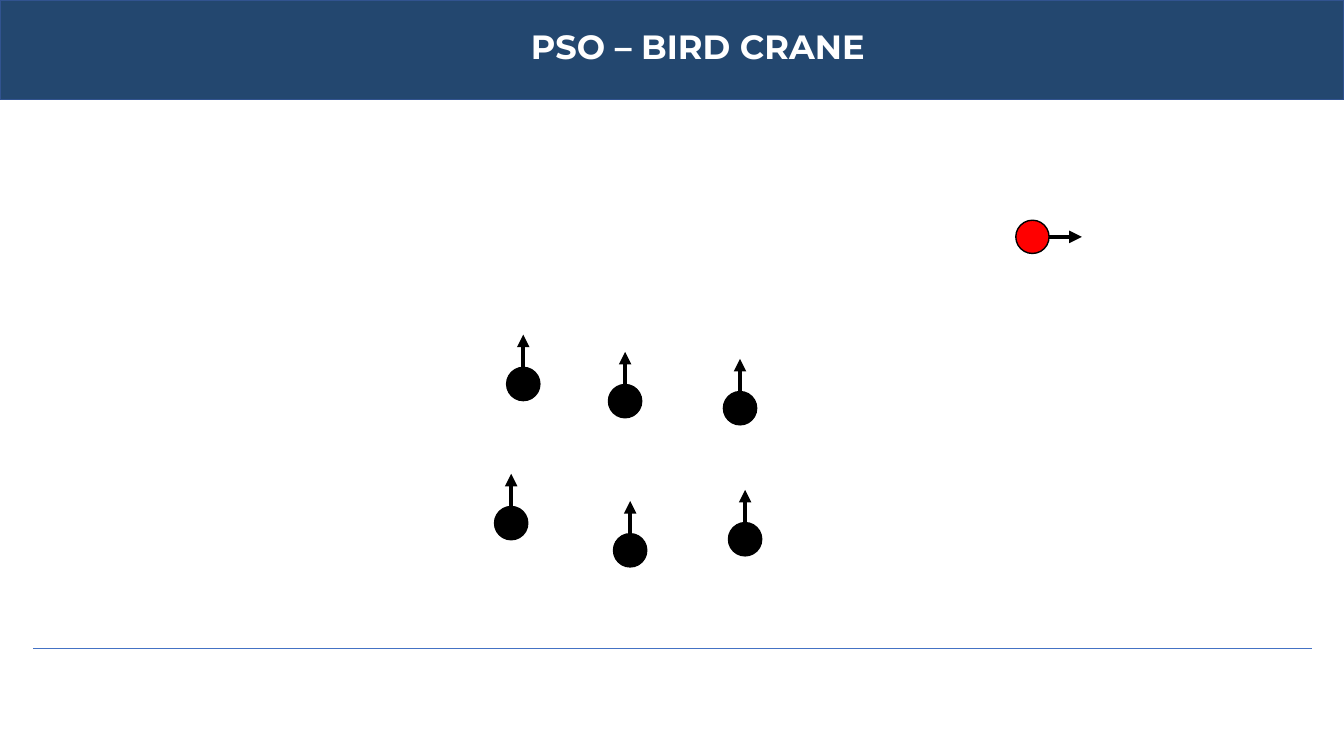
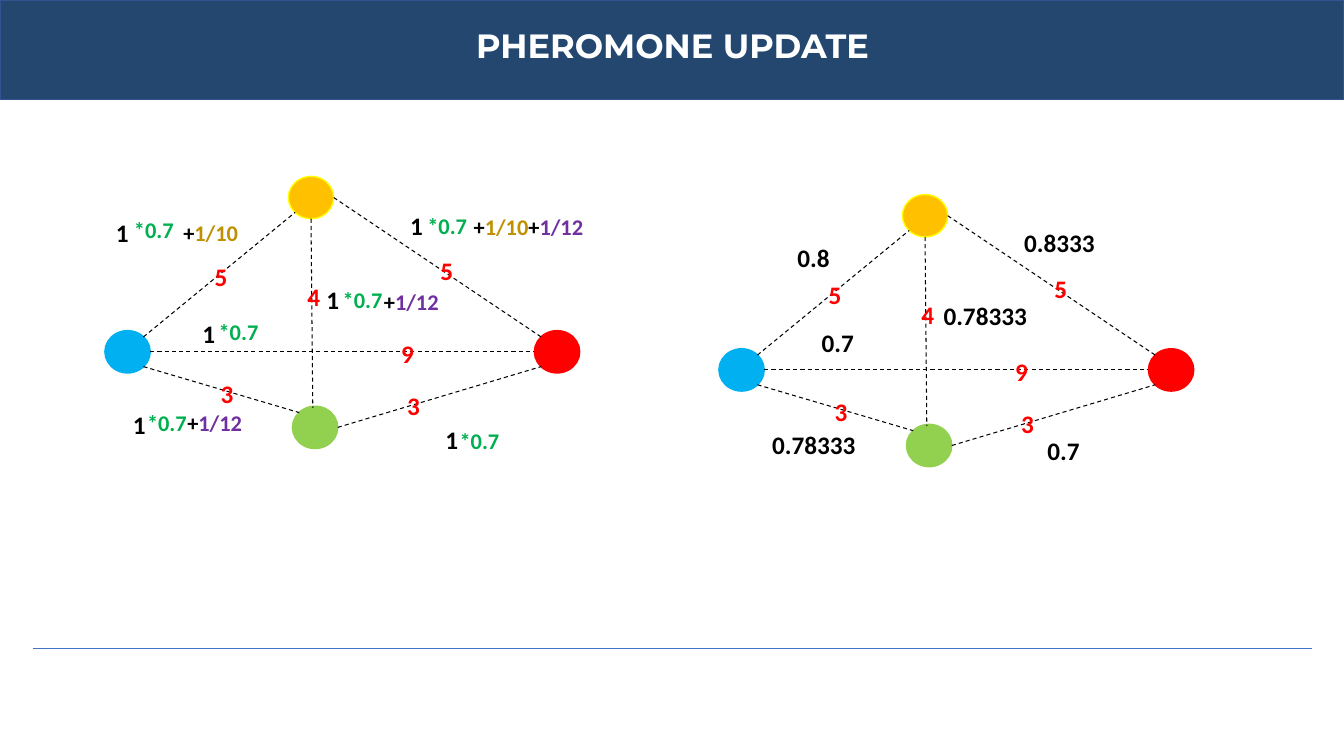
"""Build two slides on swarm methods: a bird flock and a pheromone update."""
from dataclasses import dataclass
from enum import Enum
from typing import NamedTuple

import lxml.etree
import pptx
import pptx.dml.color
import pptx.enum.dml
import pptx.enum.shapes
import pptx.enum.text
import pptx.oxml.ns
import pptx.util

Inches = pptx.util.Inches
MSO_SHAPE = pptx.enum.shapes.MSO_SHAPE


@dataclass(frozen=True)
class Theme:
    """Colours, fonts and type sizes."""
    band: str = "23476F"
    band_edge: str = "31538F"
    rule: str = "4472C4"
    white: str = "FFFFFF"
    black: str = "000000"
    red: str = "FF0000"
    blue: str = "00B0F0"
    green: str = "92D050"
    gold: str = "FFC000"
    yellow: str = "FFFF00"
    decay: str = "00B050"
    ant_a: str = "BF9000"
    ant_b: str = "7030A0"
    title_font: str = "Montserrat"
    body_font: str = "Calibri"
    title_size: int = 24
    value_size: int = 18
    term_size: int = 16


T = Theme()


class Run(NamedTuple):
    text: str
    color: str


class Label(NamedTuple):
    x: float
    y: float
    w: float
    runs: tuple[Run, ...]
    size: int = T.value_size


class Node(NamedTuple):
    x: float
    y: float
    fill: str
    line: str


class Site(Enum):
    """Points on a node as fractions of its width and height."""
    TOP = (0.45, 0.04)
    BOTTOM = (0.5, 1)
    LEFT = (0, 0.5)
    RIGHT = (1, 0.5)
    TOP_LEFT = (0.15, 0.15)
    TOP_RIGHT = (0.85, 0.15)
    BOTTOM_LEFT = (0.15, 0.85)
    BOTTOM_RIGHT = (0.85, 0.85)


class Edge(NamedTuple):
    start: str
    start_site: Site
    end: str
    end_site: Site
    weight: str
    x: float
    y: float


BIRD_D = 0.33
ARROW_LEN = 0.49
LEADER = (10.24, 2.35)
FLOCK = ((5.19, 3.81), (6.2, 3.98), (7.34, 4.05),
         (5.07, 5.19), (6.25, 5.46), (7.39, 5.35))

NODE_W, NODE_H = 0.45, 0.42
NODES = {
    "blue": Node(1.04, 3.28, T.blue, T.blue),
    "green": Node(2.9, 4.03, T.green, T.green),
    "gold": Node(2.86, 1.75, T.gold, T.yellow),
    "red": Node(5.3, 3.28, T.red, T.red),
}
EDGES = (
    Edge("blue", Site.RIGHT, "red", Site.LEFT, "9", 3.88, 3.31),
    Edge("gold", Site.RIGHT, "red", Site.TOP_LEFT, "5", 4.27, 2.48),
    Edge("blue", Site.TOP_RIGHT, "gold", Site.BOTTOM_LEFT, "5", 2.03, 2.54),
    Edge("green", Site.RIGHT, "red", Site.BOTTOM_LEFT, "3", 3.94, 3.82),
    Edge("blue", Site.BOTTOM_RIGHT, "green", Site.TOP_LEFT, "3", 2.09, 3.7),
    Edge("gold", Site.BOTTOM, "green", Site.TOP, "4", 2.95, 2.74),
)
GRAPH_OFFSETS = ((0, 0), (6.09, 0.18))

ONES = ((1.05, 2.11), (3.97, 2.04), (3.14, 2.77),
        (1.22, 4.01), (4.32, 4.16), (1.91, 3.11))
DECAYS = ((1.23, 2.1), (4.14, 2.06), (3.3, 2.79),
          (1.36, 4.01), (4.46, 4.19), (2.07, 3.11))
PLUS = Run("+", T.black)
ANT_A = (PLUS, Run("1/10", T.ant_a))
ANT_B = (PLUS, Run("1/12", T.ant_b))
DEPOSITS = (
    Label(1.72, 2.12, 0.87, ANT_A, T.term_size),
    Label(4.6, 2.07, 1.35, ANT_A + ANT_B, T.term_size),
    Label(3.71, 2.81, 0.8, ANT_B, T.term_size),
    Label(1.76, 4.01, 0.8, ANT_B, T.term_size),
)
RESULTS = (("0.8", 7.81, 2.35, 0.67), ("0.8333", 10.06, 2.21, 0.95),
           ("0.78333", 9.26, 2.93, 1.1), ("0.78333", 7.56, 4.21, 1.1),
           ("0.7", 10.29, 4.27, 0.67), ("0.7", 8.05, 3.2, 0.67))


def rgb(color: str) -> pptx.dml.color.RGBColor:
    return pptx.dml.color.RGBColor.from_string(color)


def add_run(p, run: Run, size: int, font: str) -> None:
    r = p.add_run()
    r.text = run.text
    r.font.name = font
    r.font.size = pptx.util.Pt(size)
    r.font.bold = True
    r.font.color.rgb = rgb(run.color)


def add_solid(shapes, kind, x: float, y: float, w: float, h: float,
              fill: str, line: str) -> None:
    sp = shapes.add_shape(kind, Inches(x), Inches(y), Inches(w), Inches(h))
    sp.shadow.inherit = False
    sp.fill.solid()
    sp.fill.fore_color.rgb = rgb(fill)
    sp.line.color.rgb = rgb(line)
    sp.line.width = pptx.util.Pt(1)


def add_line(shapes, start: tuple[float, float], end: tuple[float, float],
             color: str, width: float, dashed: bool = False,
             arrow: bool = False) -> None:
    sp = shapes.add_connector(
        pptx.enum.shapes.MSO_CONNECTOR.STRAIGHT,
        *(Inches(v) for v in (*start, *end)))
    sp.line.color.rgb = rgb(color)
    sp.line.width = pptx.util.Pt(width)
    qn = pptx.oxml.ns.qn
    if dashed:
        sp.line.dash_style = pptx.enum.dml.MSO_LINE.DASH
    if arrow:
        ln = sp.line._get_or_add_ln()
        lxml.etree.SubElement(ln, qn("a:tailEnd"), type="triangle")
    sp_pr = sp._element.find(qn("p:spPr"))
    lxml.etree.SubElement(sp_pr, qn("a:effectLst"))


def add_label(shapes, label: Label) -> None:
    h = 0.4 if label.size == T.value_size else 0.37
    sp = shapes.add_textbox(Inches(label.x), Inches(label.y),
                            Inches(label.w), Inches(h))
    tf = sp.text_frame
    tf.word_wrap = True
    tf.auto_size = pptx.enum.text.MSO_AUTO_SIZE.SHAPE_TO_FIT_TEXT
    for run in label.runs:
        add_run(tf.paragraphs[0], run, label.size, T.body_font)


def add_slide(prs, title: str, x: float, y: float):
    s = prs.slides.add_slide(prs.slide_layouts[6])
    add_solid(s.shapes, MSO_SHAPE.RECTANGLE, 0, 0, 13.33, 0.99,
              T.band, T.band_edge)
    sp = s.shapes.add_textbox(Inches(x), Inches(y), Inches(8.28), Inches(0.5))
    tf = sp.text_frame
    tf.word_wrap = True
    p = tf.paragraphs[0]
    p.alignment = pptx.enum.text.PP_ALIGN.CENTER
    add_run(p, Run(title, T.white), T.title_size, T.title_font)
    add_line(s.shapes, (0.33, 6.43), (13.01, 6.43), T.rule, 0.75)
    return s


def add_bird(shapes, center: tuple[float, float],
             heading: tuple[int, int], fill: str) -> None:
    x, y = center
    dx, dy = heading
    add_line(shapes, center, (x + dx * ARROW_LEN, y + dy * ARROW_LEN),
             T.black, 3, arrow=True)
    add_solid(shapes, MSO_SHAPE.OVAL, x - BIRD_D / 2, y - BIRD_D / 2,
              BIRD_D, BIRD_D, fill, T.black)


def add_graph(shapes, dx: float, dy: float) -> None:
    def point(name: str, site: Site) -> tuple[float, float]:
        node, (fx, fy) = NODES[name], site.value
        return node.x + dx + fx * NODE_W, node.y + dy + fy * NODE_H

    for node in NODES.values():
        add_solid(shapes, MSO_SHAPE.OVAL, node.x + dx, node.y + dy,
                  NODE_W, NODE_H, node.fill, node.line)
    for e in EDGES:
        add_line(shapes, point(e.start, e.start_site),
                 point(e.end, e.end_site), T.black, 0.75, dashed=True)
    for e in EDGES:
        add_label(shapes, Label(e.x + dx, e.y + dy, 0.34,
                                (Run(e.weight, T.red),)))


def build_flock(prs) -> None:
    s = add_slide(prs, "PSO – BIRD CRANE", 2.78, 0.21)
    add_bird(s.shapes.add_group_shape().shapes, LEADER, (1, 0), T.red)
    flock = s.shapes.add_group_shape()
    for center in FLOCK:
        add_bird(flock.shapes, center, (0, -1), T.black)


def build_pheromone(prs) -> None:
    s = add_slide(prs, "PHEROMONE UPDATE", 2.53, 0.2)
    for dx, dy in GRAPH_OFFSETS:
        add_graph(s.shapes.add_group_shape().shapes, dx, dy)
    labels = [Label(x, y, 0.67, (Run("1", T.black),)) for x, y in ONES]
    labels += [Label(x, y, 0.62, (Run("*0.7", T.decay),), T.term_size)
               for x, y in DECAYS]
    labels += DEPOSITS
    labels += [Label(x, y, w, (Run(text, T.black),))
               for text, x, y, w in RESULTS]
    for label in labels:
        add_label(s.shapes, label)


def main() -> None:
    prs = pptx.Presentation()
    prs.slide_width, prs.slide_height = Inches(13.33), Inches(7.5)
    build_flock(prs)
    build_pheromone(prs)
    prs.save("out.pptx")


if __name__ == "__main__":
    main()
